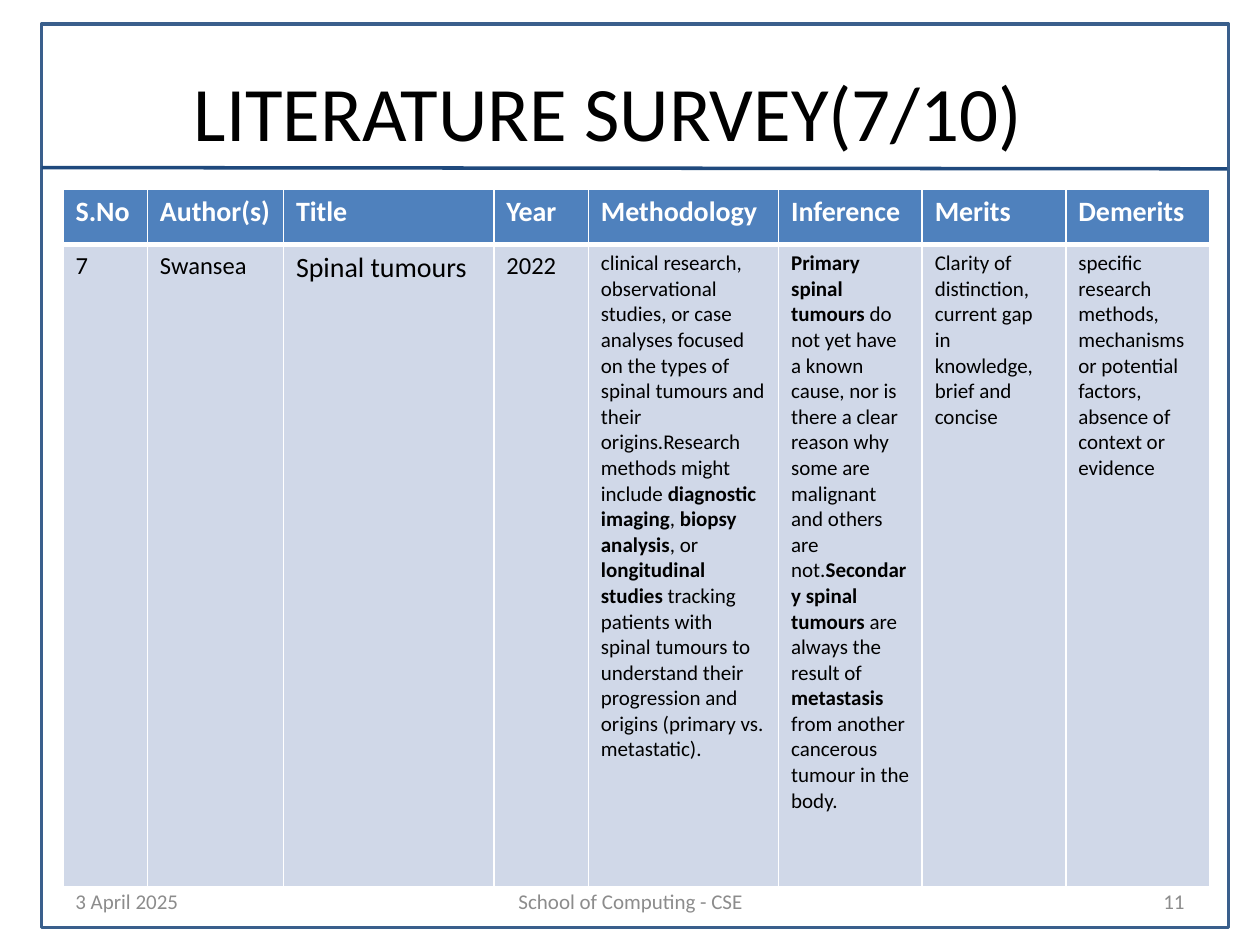
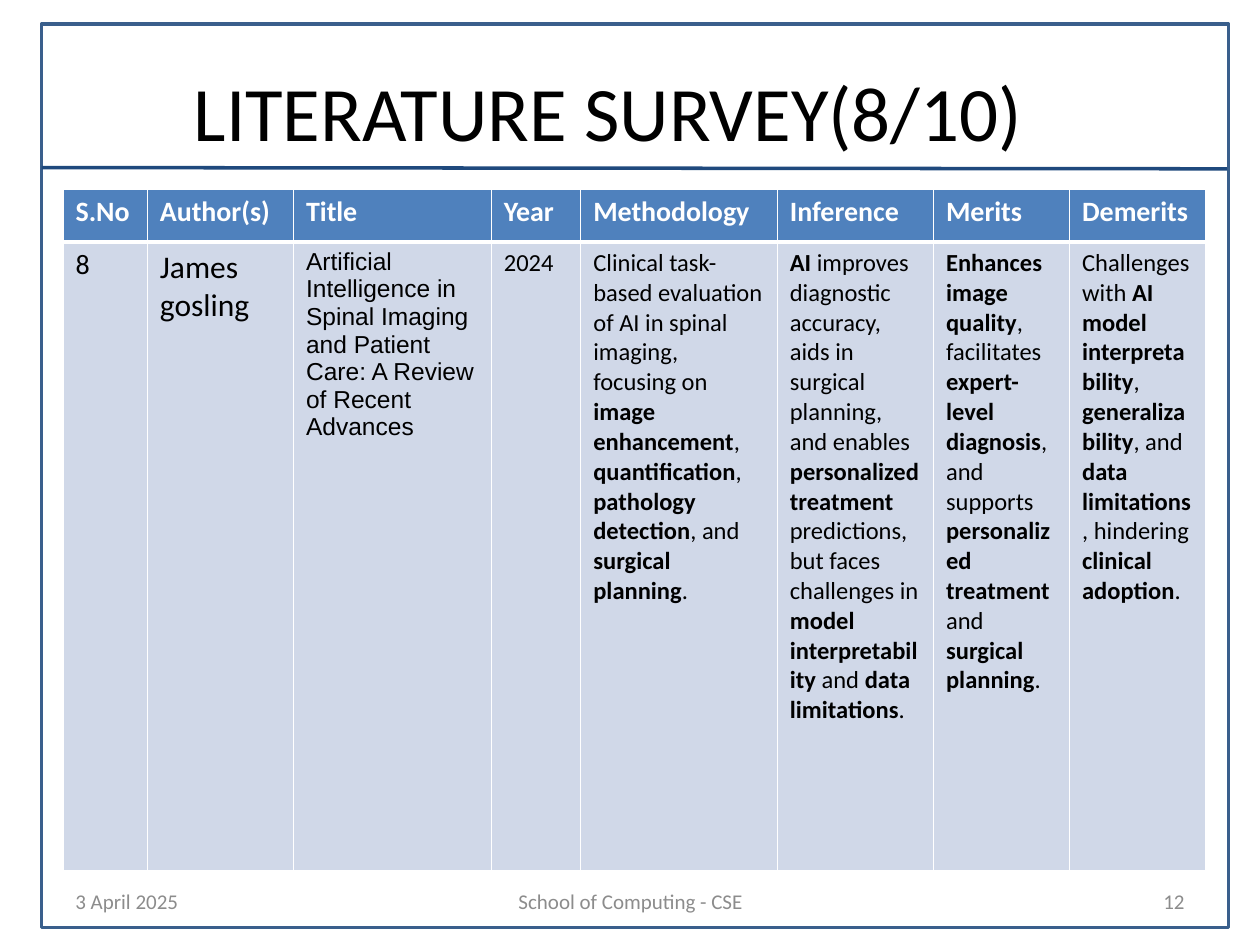
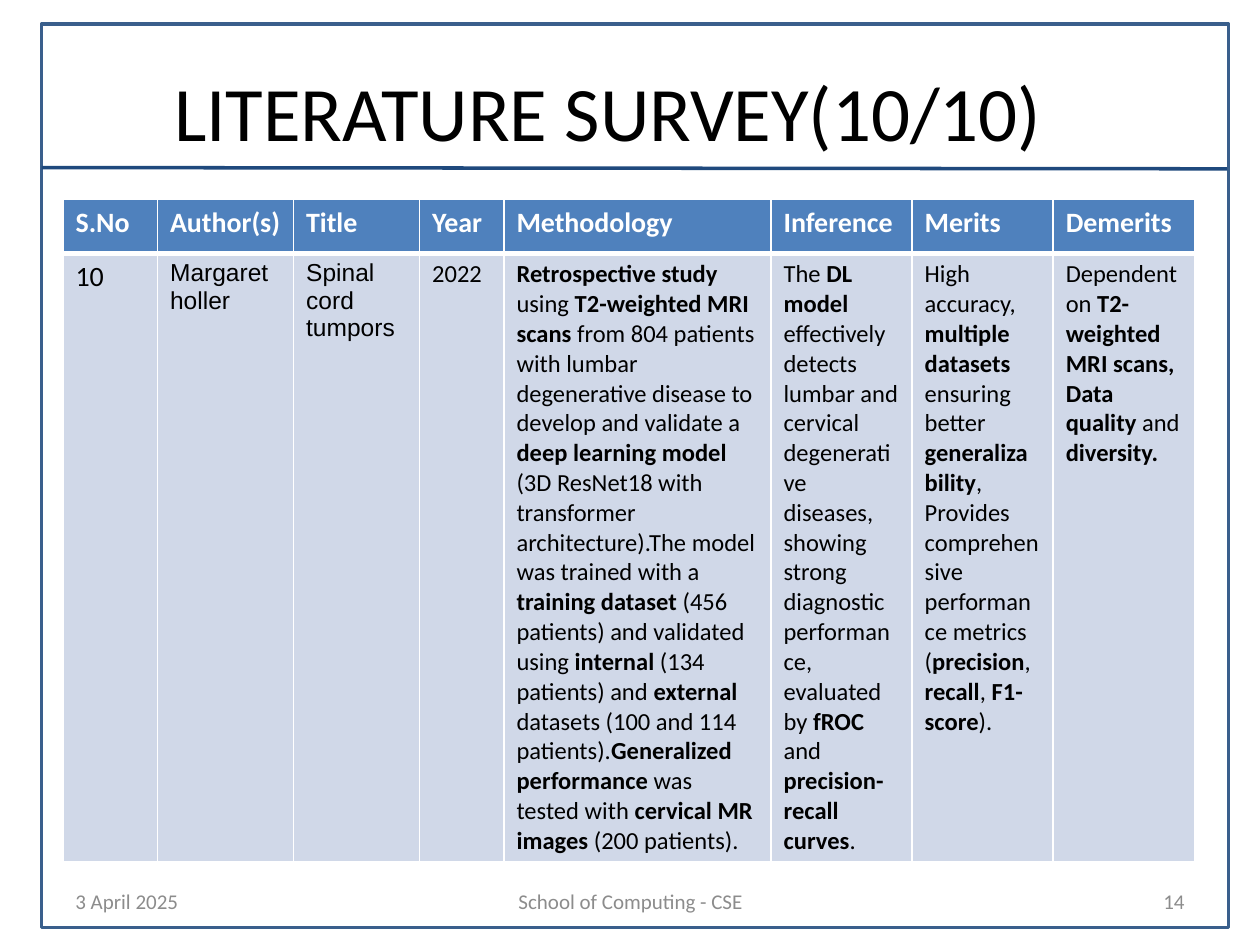
"""Build three literature survey slides, each with a framed table and a footer."""
from dataclasses import dataclass

from lxml import etree
from pptx import Presentation
from pptx.dml.color import RGBColor
from pptx.enum.shapes import MSO_CONNECTOR, MSO_SHAPE
from pptx.enum.text import MSO_ANCHOR, PP_ALIGN
from pptx.oxml.ns import qn
from pptx.util import Inches, Pt

LEFT, CENTER, RIGHT = PP_ALIGN.LEFT, PP_ALIGN.CENTER, PP_ALIGN.RIGHT
MIDDLE = MSO_ANCHOR.MIDDLE
RECTANGLE, STRAIGHT = MSO_SHAPE.RECTANGLE, MSO_CONNECTOR.STRAIGHT
TITLE_ONLY = 5

COLORS = {
    "frame": "3A5F8C",
    "rule": "1F497D",
    "header": "4F81BD",
    "body": "D0D8E8",
    "border": "FFFFFF",
    "light": "FFFFFF",
    "text": "000000",
    "footer": "8C8C8C",
}
FONT = "Calibri"
HEADINGS = ["S.No", "Author(s)", "Title", "Year",
            "Methodology", "Inference", "Merits", "Demerits"]


@dataclass
class Entry:
    """One table cell; ** switches bold and a line break starts a paragraph."""
    text: str
    size: int = 14
    font: str = FONT
    color: str = "text"


@dataclass
class Survey:
    """One slide: its title, page number, table geometry and table entries."""
    title: str
    page: int
    top: float
    widths: list[float]
    heights: list[float]
    entries: list[Entry]


@dataclass
class Footer:
    """One footer field."""
    left: float
    width: float
    align: PP_ALIGN
    text: str


FOOTERS = [
    Footer(0.5, 2.33, LEFT, "3 April 2025"),
    Footer(3.42, 3.17, CENTER, "School of Computing - CSE"),
    Footer(7.17, 2.33, RIGHT, "{page}"),
]

SURVEYS = [
    Survey(
        "LITERATURE SURVEY(7/10)", 11, 1.5,
        [0.67, 1.08, 1.67, 0.75, 1.51, 1.14, 1.14, 1.14], [0.44, 5.1],
        [
            Entry("7"),
            Entry("Swansea"),
            Entry("Spinal tumours", 16),
            Entry("2022"),
            Entry("clinical research, observational studies, or case analyses "
                  "focused on the types of spinal tumours and their "
                  "origins.Research methods might include **diagnostic "
                  "imaging**, **biopsy analysis**, or **longitudinal studies** "
                  "tracking patients with spinal tumours to understand their "
                  "progression and origins (primary vs. metastatic).", 12),
            Entry("**Primary spinal tumours** do not yet have a known cause, "
                  "nor is there a clear reason why some are malignant and "
                  "others are not.**Secondary spinal tumours** are always the "
                  "result of **metastasis** from another cancerous tumour in "
                  "the body.", 12),
            Entry("Clarity of distinction,\ncurrent gap in knowledge,\n"
                  "brief and concise", 12),
            Entry("specific research methods,\nmechanisms or potential "
                  "factors,\nabsence of context or evidence", 12),
        ],
    ),
    Survey(
        "LITERATURE SURVEY(8/10)", 12, 1.5,
        [0.67, 1.16, 1.57, 0.71, 1.56, 1.24, 1.08, 1.08], [0.42, 4.99],
        [
            Entry("8", 16),
            Entry("James gosling", 18),
            Entry("Artificial Intelligence in Spinal Imaging and Patient "
                  "Care: A Review of Recent Advances", font="Arial"),
            Entry("2024"),
            Entry("Clinical task-based evaluation of AI in spinal imaging, "
                  "focusing on **image enhancement**, **quantification**, "
                  "**pathology detection**, and **surgical planning**."),
            Entry("**AI** improves diagnostic accuracy, aids in surgical "
                  "planning, and enables **personalized treatment** "
                  "predictions, but faces challenges in **model "
                  "interpretability** and **data limitations**."),
            Entry("**Enhances image quality**, facilitates **expert-level "
                  "diagnosis**, and supports **personalized treatment** and "
                  "**surgical planning**."),
            Entry("Challenges with **AI model interpretability**, "
                  "**generalizability**, and **data limitations**, hindering "
                  "**clinical adoption**."),
        ],
    ),
    Survey(
        "LITERATURE SURVEY(10/10)", 14, 1.58,
        [0.75, 1.08, 1, 0.67, 2.12, 1.12, 1.12, 1.12], [0.43, 4.82],
        [
            Entry("10", 16),
            Entry("Margaret holler", font="Arial"),
            Entry("Spinal cord tumpors", font="Arial"),
            Entry("2022"),
            Entry("**Retrospective study** using **T2-weighted MRI scans** "
                  "from 804 patients with lumbar degenerative disease to "
                  "develop and validate a **deep learning model** (3D ResNet18 "
                  "with transformer architecture).The model was trained with a "
                  "**training dataset** (456 patients) and validated using "
                  "**internal** (134 patients) and **external** datasets (100 "
                  "and 114 patients).**Generalized performance** was tested "
                  "with **cervical MR images** (200 patients)."),
            Entry("The **DL model** effectively detects lumbar and cervical "
                  "degenerative diseases, showing strong diagnostic "
                  "performance, evaluated by **fROC** and **precision-recall "
                  "curves**."),
            Entry("High accuracy,\n**multiple datasets** ensuring better "
                  "**generalizability**, Provides comprehensive performance "
                  "metrics (**precision**, **recall**, **F1-score**)."),
            Entry("Dependent on **T2-weighted MRI scans,**\n"
                  "**Data quality** and **diversity.**"),
        ],
    ),
]


def rgb(name: str) -> RGBColor:
    """Return a named colour."""
    return RGBColor.from_string(COLORS[name])


def write(tf, entry: Entry, align: PP_ALIGN = LEFT) -> None:
    """Write an entry into a text frame."""
    for i, line in enumerate(entry.text.split("\n")):
        p = tf.add_paragraph() if i else tf.paragraphs[0]
        p.alignment = align
        p.font.name, p.font.size = entry.font, Pt(entry.size)
        p.font.color.rgb = rgb(entry.color)
        for j, part in enumerate(line.split("**")):
            if part:
                r = p.add_run()
                r.text = part
                r.font.bold = j % 2 == 1


def add_borders(cell, **widths: float) -> None:
    """Give a cell solid borders with widths in points, keyed by side."""
    tc_pr = cell._tc.get_or_add_tcPr()
    for side, width in widths.items():
        ln = etree.SubElement(tc_pr, qn(f"a:ln{side}"), w=str(Pt(width)))
        fill = etree.SubElement(ln, qn("a:solidFill"))
        etree.SubElement(fill, qn("a:srgbClr"), val=COLORS["border"])


def add_frame(s) -> None:
    """Draw the page frame and the rule under the title."""
    sp = s.shapes.add_shape(RECTANGLE, Inches(0.33), Inches(0.19),
                            Inches(9.42), Inches(7.17))
    sp.shadow.inherit = False
    sp.fill.background()
    rule = s.shapes.add_connector(STRAIGHT, Inches(0.33), Inches(1.33),
                                  Inches(9.74), Inches(1.34))
    etree.SubElement(rule._element.spPr, qn("a:effectLst"))
    for shape, color in ((sp, "frame"), (rule, "rule")):
        shape.line.color.rgb = rgb(color)
        shape.line.width = Pt(2)


def add_title(s, text: str) -> None:
    """Place and format the title placeholder."""
    sp = s.shapes.title
    sp.left, sp.top = Inches(0.33), Inches(0.25)
    sp.width, sp.height = Inches(9), Inches(1.25)
    sp.text_frame.vertical_anchor = MIDDLE
    write(sp.text_frame, Entry(text, 44), CENTER)


def add_survey_table(s, survey: Survey) -> None:
    """Draw the heading row and the survey entry."""
    table = s.shapes.add_table(
        2, len(HEADINGS), Inches(0.5), Inches(survey.top),
        Inches(sum(survey.widths)), Inches(sum(survey.heights))).table
    for row, height in zip(table.rows, survey.heights):
        row.height = Inches(height)
    for col, width in enumerate(survey.widths):
        table.columns[col].width = Inches(width)
        heading = Entry(f"**{HEADINGS[col]}**", 16, color="light")
        head, body = table.cell(0, col), table.cell(1, col)
        add_borders(head, L=1, R=1, T=1, B=3)
        add_borders(body, L=1, R=1, T=3, B=1)
        for cell, entry, color in ((head, heading, "header"),
                                   (body, survey.entries[col], "body")):
            cell.fill.solid()
            cell.fill.fore_color.rgb = rgb(color)
            write(cell.text_frame, entry)


def add_footers(s, page: int) -> None:
    """Draw the date, the department and the page number."""
    for footer in FOOTERS:
        tf = s.shapes.add_textbox(Inches(footer.left), Inches(6.95),
                                  Inches(footer.width), Inches(0.4)).text_frame
        tf.word_wrap = True
        tf.vertical_anchor = MIDDLE
        text = footer.text.format(page=page)
        write(tf, Entry(text, 12, color="footer"), footer.align)


def main() -> None:
    """Build and save the presentation."""
    prs = Presentation()
    prs.slide_width, prs.slide_height = Inches(10), Inches(7.5)
    for survey in SURVEYS:
        s = prs.slides.add_slide(prs.slide_layouts[TITLE_ONLY])
        add_frame(s)
        add_title(s, survey.title)
        add_survey_table(s, survey)
        add_footers(s, survey.page)
    prs.save("out.pptx")


if __name__ == "__main__":
    main()
